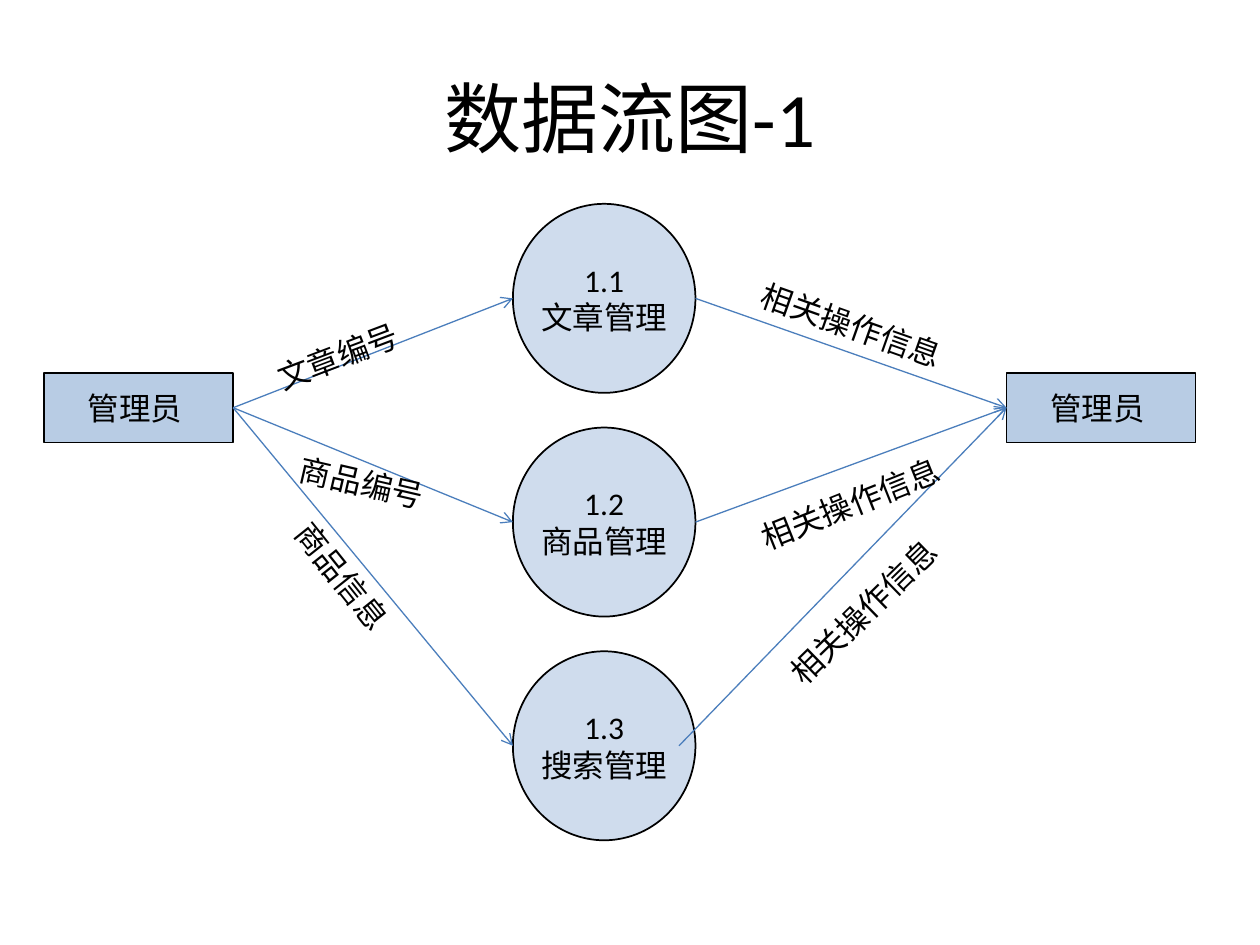
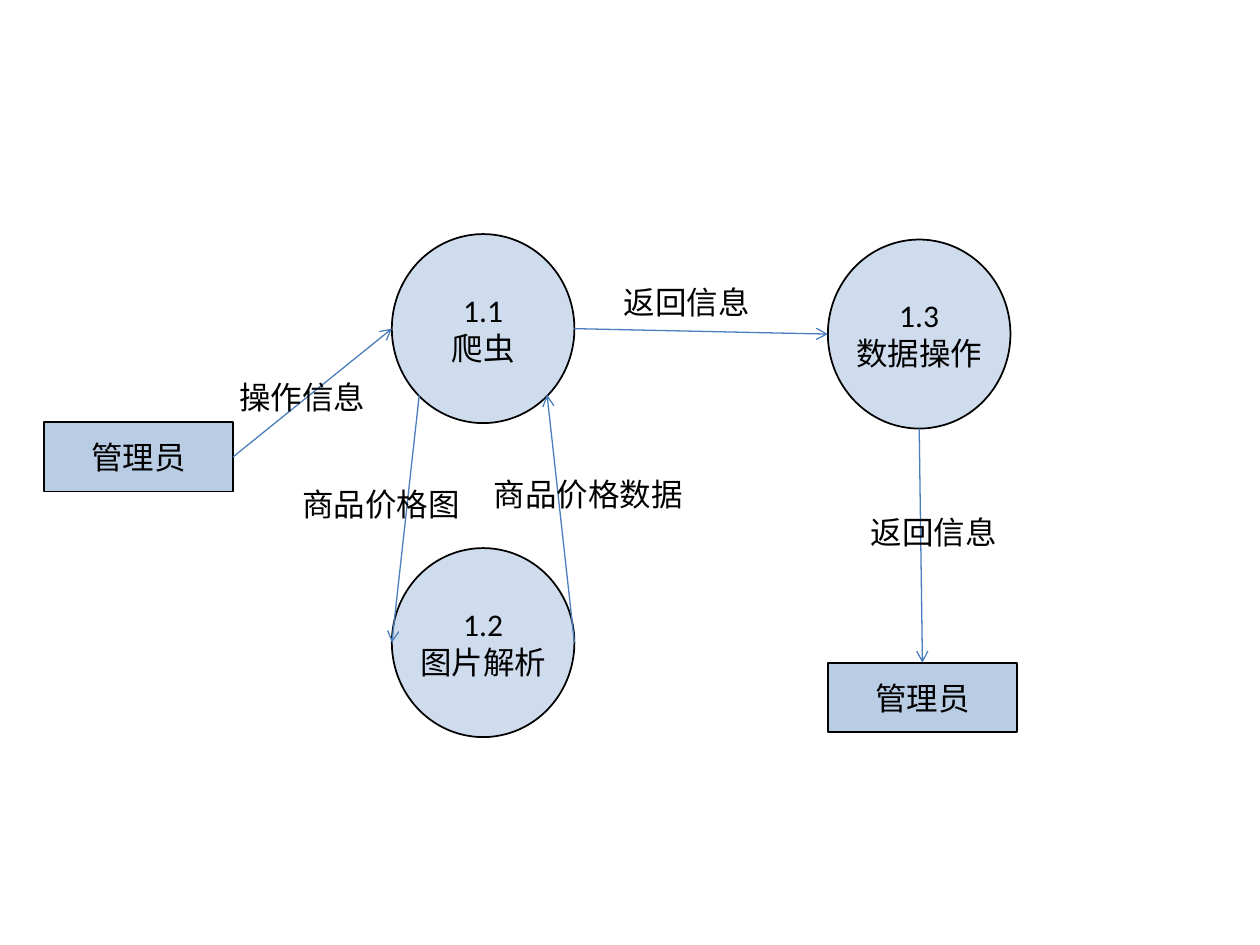
from dataclasses import dataclass

import lxml.etree
import pptx
import pptx.dml.color
import pptx.enum.shapes
import pptx.enum.text
import pptx.oxml.ns
import pptx.shapes.autoshape
import pptx.slide
import pptx.text.text
import pptx.util

Cm, Pt = pptx.util.Cm, pptx.util.Pt
SHAPE = pptx.enum.shapes.MSO_SHAPE
ALIGN = pptx.enum.text.PP_ALIGN
ANCHOR = pptx.enum.text.MSO_ANCHOR
qn = pptx.oxml.ns.qn

COLORS = {"node": "4F81BD", "outline": "000000", "text": "000000", "arrow": "4B7EBC"}
FONT = "Calibri"
Point = tuple[float, float]

# Places on a node, as fractions of its width and height
LEFT, RIGHT, TOP, BOTTOM = (0, 0.5), (1, 0.5), (0.5, 0), (0.5, 1)
LOWER_LEFT, LOWER_RIGHT = (0.15, 0.85), (0.85, 0.85)
INNER_RIGHT = (0.91, 0.5)


@dataclass
class Node:
    """A box or circle of the diagram; lengths in centimetres."""
    text: str
    x: float
    y: float
    w: float
    h: float
    shape: int
    opacity: int
    side_inset: float

    def at(self, place: Point) -> Point:
        return self.x + place[0] * self.w, self.y + place[1] * self.h


@dataclass
class Flow:
    source: Node
    start: Point
    target: Node
    end: Point


@dataclass
class Label:
    text: str
    x: float
    y: float
    w: float
    rotation: float = 0


def entity(text: str, x: float, y: float) -> Node:
    return Node(text, x, y, 3.81, 1.4, SHAPE.RECTANGLE, 40, 0.25)


def process(text: str, x: float, y: float) -> Node:
    return Node(text, x, y, 3.68, 3.81, SHAPE.OVAL, 27, 0)


def rgb(name: str) -> pptx.dml.color.RGBColor:
    return pptx.dml.color.RGBColor.from_string(COLORS[name])


def write(tf: pptx.text.text.TextFrame, text: str, size: float, align: int) -> None:
    tf.word_wrap = True
    tf.text = text
    for p in tf.paragraphs:
        p.alignment = align
        for r in p.runs:
            r.font.name, r.font.size = FONT, Pt(size)
            r.font.color.rgb = rgb("text")


def add_title(s: pptx.slide.Slide, text: str) -> None:
    sp = s.shapes.add_textbox(Cm(1.27), Cm(0.76), Cm(22.86), Cm(3.18))
    write(sp.text_frame, text, 44, ALIGN.CENTER)
    sp.text_frame.vertical_anchor = ANCHOR.MIDDLE


def add_node(s: pptx.slide.Slide, node: Node) -> None:
    sp = s.shapes.add_shape(node.shape, Cm(node.x), Cm(node.y), Cm(node.w), Cm(node.h))
    sp.shadow.inherit = False
    sp.fill.solid()
    sp.fill.fore_color.rgb = rgb("node")
    color = sp.element.spPr.find(qn("a:solidFill")).find(qn("a:srgbClr"))
    lxml.etree.SubElement(color, qn("a:alpha"), val=str(node.opacity * 1000))
    sp.line.color.rgb = rgb("outline")
    sp.line.width = Pt(1)
    tf = sp.text_frame
    write(tf, node.text, 18, ALIGN.CENTER)
    tf.vertical_anchor = ANCHOR.MIDDLE
    tf.margin_left = tf.margin_right = Cm(node.side_inset)


def add_flow(s: pptx.slide.Slide, flow: Flow) -> None:
    x1, y1 = flow.source.at(flow.start)
    x2, y2 = flow.target.at(flow.end)
    line = s.shapes.add_connector(
        pptx.enum.shapes.MSO_CONNECTOR.STRAIGHT, Cm(x1), Cm(y1), Cm(x2), Cm(y2))
    line.line.color.rgb = rgb("arrow")
    line.line.width = Pt(0.75)
    lxml.etree.SubElement(line.get_or_add_ln(), qn("a:tailEnd"), type="arrow")
    lxml.etree.SubElement(line.element.spPr, qn("a:effectLst"))


def add_label(s: pptx.slide.Slide, label: Label) -> None:
    sp = s.shapes.add_textbox(Cm(label.x), Cm(label.y), Cm(label.w), Cm(1.02))
    sp.rotation = label.rotation
    write(sp.text_frame, label.text, 18, ALIGN.LEFT)


def add_diagram(prs: pptx.presentation.Presentation, nodes: list[Node],
                flows: list[Flow], labels: list[Label]) -> pptx.slide.Slide:
    s = prs.slides.add_slide(prs.slide_layouts[6])
    for node in nodes:
        add_node(s, node)
    for flow in flows:
        add_flow(s, flow)
    for label in labels:
        add_label(s, label)
    return s


prs = pptx.Presentation()
prs.slide_width, prs.slide_height = Cm(25.4), Cm(19.05)

# Slide 1: administrator to three processes and back
sender, receiver = (entity("管理员 ", x, 7.52) for x in (0.89, 20.29))
names = ["文章管理", "商品管理", "搜索管理"]
processes = [process(f"1.{i + 1}\n{name}", 10.34, 4.11 + 4.51 * i)
             for i, name in enumerate(names)]
exits = [RIGHT, RIGHT, INNER_RIGHT]
s = add_diagram(
    prs,
    [sender, *processes, receiver],
    [Flow(sender, RIGHT, p, LEFT) for p in processes]
    + [Flow(p, start, receiver, LEFT) for p, start in zip(processes, exits)],
    [
        Label("文章编号", 5.23, 6.32, 5.05, 339.3),
        Label("商品编号", 5.77, 9.27, 3.53, 13.1),
        Label("商品信息", 5, 11.89, 5.05, 51.4),
        Label("相关操作信息", 15.01, 6.05, 4.37, 19.5),
        Label("相关操作信息", 14.99, 9.63, 4.37, 338.1),
        Label("相关操作信息", 15.24, 11.79, 4.37, 315.7),
    ],
)
add_title(s, "数据流图-1")

# Slide 2: crawler, picture analysis and data handling
sender = entity("管理员", 0.89, 8.51)
receiver = entity("管理员", 16.69, 13.36)
crawler = process("1.1\n爬虫", 7.9, 4.72)
analysis = process("1.2\n图片解析", 7.9, 11.05)
storage = process("1.3\n数据操作", 16.69, 4.83)
add_diagram(
    prs,
    [sender, receiver, crawler, analysis, storage],
    [
        Flow(sender, RIGHT, crawler, LEFT),
        Flow(crawler, LOWER_LEFT, analysis, LEFT),
        Flow(analysis, RIGHT, crawler, LOWER_RIGHT),
        Flow(crawler, RIGHT, storage, LEFT),
        Flow(storage, BOTTOM, receiver, TOP),
    ],
    [
        Label("操作信息", 4.57, 7.49, 3.33),
        Label("商品价格图", 5.84, 9.65, 4.09),
        Label("商品价格数据", 9.7, 9.45, 4.45),
        Label("返回信息", 12.32, 5.59, 3.66),
        Label("返回信息", 17.3, 10.21, 3.66),
    ],
)

prs.save("out.pptx")
